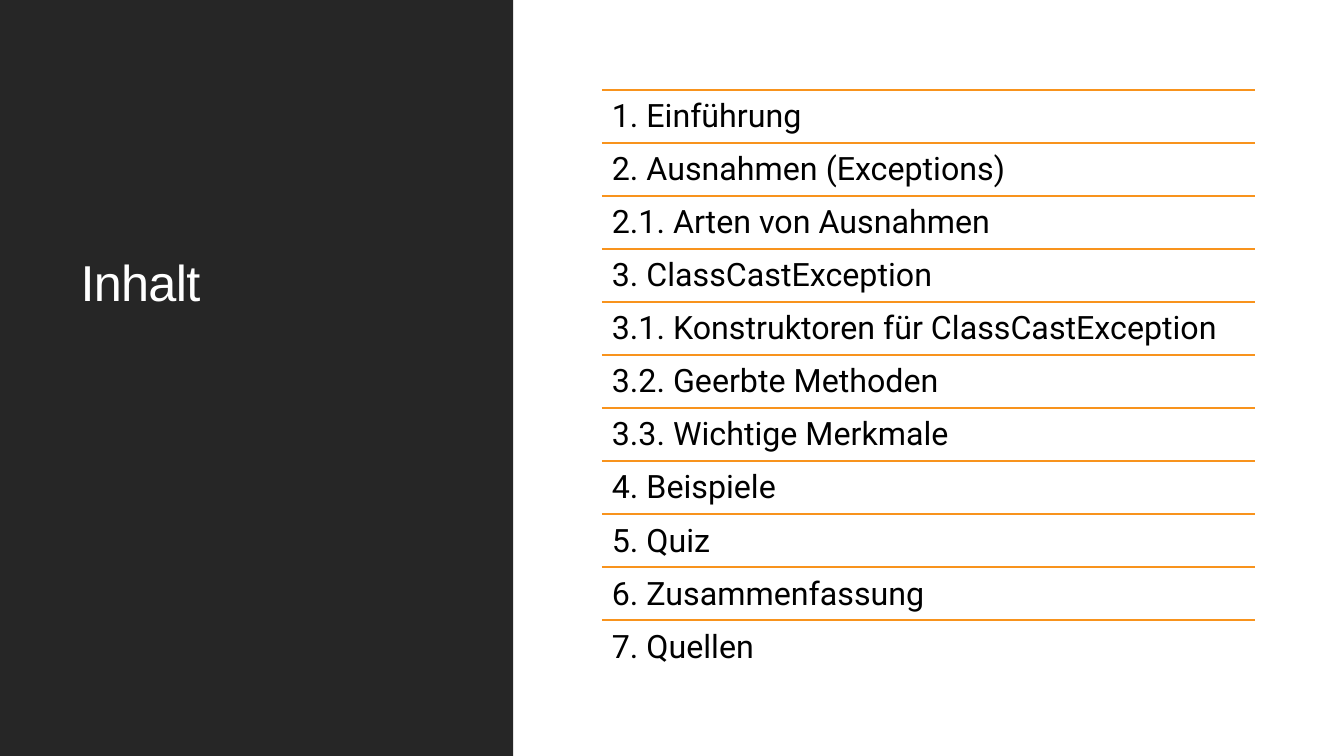
"""Build the table of contents slide."""
import pptx
import pptx.util
import pptx.dml.color
import pptx.enum.shapes
import pptx.enum.text
import pptx.oxml

WIDE, HIGH = 13.33, 7.5
TITLE = "Inhalt"
TOPICS = [
    "1. Einführung",
    "2. Ausnahmen (Exceptions)",
    "2.1. Arten von Ausnahmen",
    "3. ClassCastException",
    "3.1. Konstruktoren für ClassCastException",
    "3.2. Geerbte Methoden",
    "3.3. Wichtige Merkmale",
    "4. Beispiele",
    "5. Quiz",
    "6. Zusammenfassung",
    "7. Quellen",
]
DARK, WHITE, BLACK, ORANGE = "262626", "FFFFFF", "000000", "F8931D"
LEFT, TOP, SPAN = 5.97, 0.89, 6.48
ROW = (HIGH - 0.82 - TOP) / len(TOPICS)

inch = pptx.util.Inches


def color(code):
    return pptx.dml.color.RGBColor.from_string(code)


def add_text(slide, text, box, size, font, ink, anchor="TOP", pad=0.1, after=0, track=0):
    frame = slide.shapes.add_textbox(*map(inch, box)).text_frame
    frame.word_wrap = True
    frame.vertical_anchor = getattr(pptx.enum.text.MSO_ANCHOR, anchor)
    frame.margin_left = frame.margin_right = inch(0.1)
    frame.margin_top = frame.margin_bottom = inch(pad)
    para = frame.paragraphs[0]
    para.line_spacing = 0.9
    para.space_after = pptx.util.Pt(after)
    run = para.add_run()
    run.text = text
    run.font.size = pptx.util.Pt(size)
    run.font.name = font
    run.font.color.rgb = color(ink)
    if track:
        run.font._element.set("spc", str(round(track * 100)))


def add_rule(slide, y):
    ends = map(inch, (LEFT, y, LEFT + SPAN, y))
    rule = slide.shapes.add_connector(pptx.enum.shapes.MSO_CONNECTOR.STRAIGHT, *ends)
    rule.line.color.rgb = color(ORANGE)
    rule.line.width = pptx.util.Pt(1.25)
    rule._element.spPr.append(pptx.oxml.parse_xml(
        '<a:effectLst xmlns:a="http://schemas.openxmlformats.org/drawingml/2006/main"/>'))


def add_panel(slide, box):
    panel = slide.shapes.add_shape(
        pptx.enum.shapes.MSO_SHAPE.RECTANGLE, *map(inch, box))
    panel.shadow.inherit = False
    panel.fill.solid()
    panel.fill.fore_color.rgb = color(DARK)
    panel.line.fill.background()


def main():
    deck = pptx.Presentation()
    deck.slide_width, deck.slide_height = inch(WIDE), inch(HIGH)
    slide = deck.slides.add_slide(deck.slide_layouts[6])
    add_panel(slide, (0, 0, 5.09, HIGH))
    add_text(slide, TITLE, (0.7, 0.86, 3.85, 2.29), 36, "Arial", WHITE,
             anchor="BOTTOM", pad=0.05, track=-0.5)
    for row, topic in enumerate(TOPICS):
        y = TOP + row * ROW
        add_rule(slide, y)
        add_text(slide, topic, (LEFT, y, SPAN, ROW), 23, "Roboto", BLACK, after=8)
    deck.save("out.pptx")


if __name__ == "__main__":
    main()
